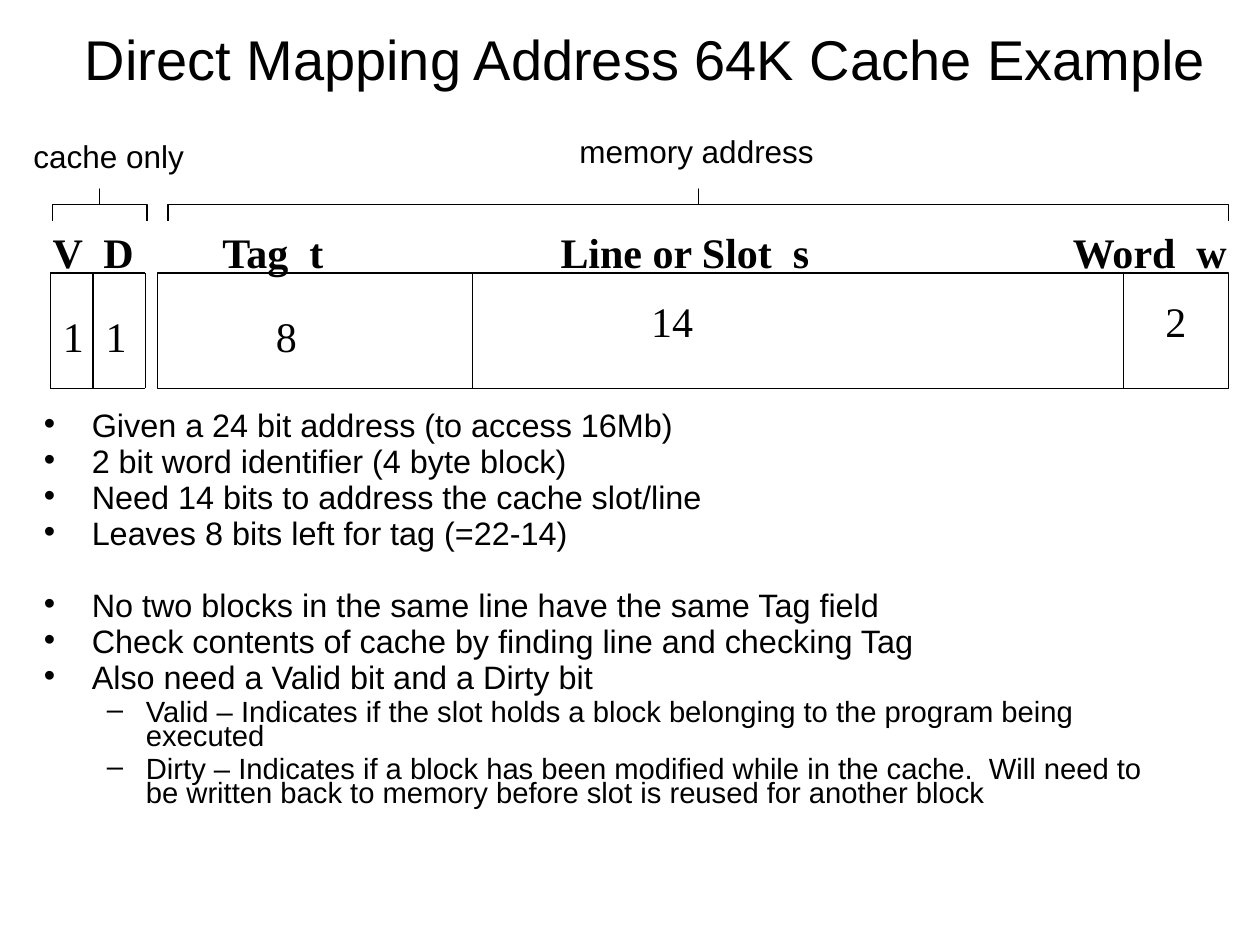
from dataclasses import dataclass
from lxml.etree import SubElement
from pptx import Presentation
from pptx.dml.color import RGBColor
from pptx.enum.shapes import MSO_CONNECTOR, MSO_SHAPE
from pptx.enum.text import MSO_ANCHOR, MSO_AUTO_SIZE, PP_ALIGN
from pptx.oxml.ns import qn
from pptx.util import Inches, Pt


@dataclass(frozen=True)
class Theme:
    ink: RGBColor = RGBColor(0, 0, 0)
    sans: str = "Arial"
    serif: str = "Times New Roman"
    title: float = 32
    field: float = 24
    note: float = 18
    point: float = 18.5
    detail: float = 16.7
    line: float = 0.75


theme = Theme()
WIDE, HIGH = 10, 7.5
COLS, ROWS = 120, 90
TOP, BASE = 26, 37

title = "Direct Mapping Address 64K Cache Example"
heads = [("V  D", 3.84, 10.2), ("Tag  t", 20, 12.36),
         ("Line or Slot  s", 52.2, 26.16), ("Word  w", 101, 17.28)]
bits = [("1", 4.8, 29, 4.32), ("1", 8.88, 29, 4.32), ("8", 25.1, 29, 4.32),
        ("14", 60.84, 27.6, 6.36), ("2", 109.8, 27.6, 4.32)]
notes = [("cache only", 2, 12.48, 17), ("memory address", 54, 12, 25)]
frame = (15, 117)
walls = [4.8, 8.85, 13.85, 45, 107]
flag = (walls[0], walls[2])
braces = [(5, 14), (16, 117)]
groups = [
    [(0, "Given a 24 bit address (to access 16Mb)"),
     (0, "2 bit word identifier (4 byte block)"),
     (0, "Need 14 bits to address the cache slot/line"),
     (0, "Leaves 8 bits left for tag (=22-14)")],
    [(0, "No two blocks in the same line have the same Tag field"),
     (0, "Check contents of cache by finding line and checking Tag"),
     (0, "Also need a Valid bit and a Dirty bit"),
     (1, "Valid – Indicates if the slot holds a block belonging to the program being executed"),
     (1, "Dirty – Indicates if a block has been modified while in the cache.  "
         "Will need to be written back to memory before slot is reused for another block")],
]
levels = [dict(size=theme.point, gap=5, left=0.38, hang=0.38, mark="•"),
          dict(size=theme.detail, gap=4.5, left=0.81, hang=0.31, mark="–")]
SPACING, BREAK = 0.7, 20.5

deck = Presentation()
deck.slide_width, deck.slide_height = Inches(WIDE), Inches(HIGH)
slide = deck.slides.add_slide(deck.slide_layouts[6])
shapes = slide.shapes


def col(n):
    return Inches(n * WIDE / COLS)


def row(n):
    return Inches(n * HIGH / ROWS)


def ink(shape):
    shape.line.color.rgb = theme.ink
    shape.line.width = Pt(theme.line)


def box(left, top, width, height, wrap=False):
    area = shapes.add_textbox(col(left), row(top), col(width), row(height)).text_frame
    area.word_wrap = wrap
    area.auto_size = MSO_AUTO_SIZE.NONE if wrap else MSO_AUTO_SIZE.SHAPE_TO_FIT_TEXT
    return area


def write(para, text, font, size, bold=False):
    run = para.add_run()
    run.text = text
    run.font.name, run.font.size, run.font.bold = font, Pt(size), bold
    run.font.color.rgb = theme.ink


def rule(left, top, right, base):
    line = shapes.add_connector(MSO_CONNECTOR.STRAIGHT, col(left), row(top), col(right), row(base))
    ink(line)
    SubElement(line._element.spPr, qn("a:effectLst"))


def plain(shape):
    shape.fill.background()
    shape.shadow.inherit = False
    ink(shape)


def brace(left, right, top=18, base=21):
    mid, bar = (left + right) / 2, (top + base) / 2
    points = [(left, base), (left, bar), (mid, bar), (mid, top),
              (mid, bar), (right, bar), (right, base)]
    spots = [(col(x), row(y)) for x, y in points]
    form = shapes.build_freeform(*spots[0])
    form.add_line_segments(spots[1:], close=False)
    plain(form.convert_to_shape())


def bullet(para, text, depth, extra):
    level = levels[depth]
    para.level = depth
    para.line_spacing = SPACING
    para.space_before = Pt(level["gap"] + extra)
    props = para._p.get_or_add_pPr()
    props.set("marL", str(Inches(level["left"])))
    props.set("indent", str(-Inches(level["hang"])))
    SubElement(props, qn("a:buFont"), typeface=theme.sans)
    SubElement(props, qn("a:buChar"), char=level["mark"])
    write(para, text, theme.sans, level["size"])


head = box(6, -2, 111, 15, wrap=True)
head.vertical_anchor = MSO_ANCHOR.MIDDLE
head.paragraphs[0].alignment = PP_ALIGN.CENTER
write(head.paragraphs[0], title, theme.sans, theme.title)

plain(shapes.add_shape(MSO_SHAPE.RECTANGLE, col(frame[0]), row(TOP),
                       col(frame[1] - frame[0]), row(BASE - TOP)))
for x in walls:
    rule(x, TOP, x, BASE)
for y in (TOP, BASE):
    rule(flag[0], y, flag[1], y)
for ends in braces:
    brace(*ends)

for text, left, width in heads:
    write(box(left, 21, width, 6).paragraphs[0], text, theme.serif, theme.field, True)
for text, left, top, width in bits:
    write(box(left, top, width, 6).paragraphs[0], text, theme.serif, theme.field)
for text, left, top, width in notes:
    write(box(left, top, width, 4.8).paragraphs[0], text, theme.sans, theme.note)

body = box(3, 39, 110, 42.5, wrap=True)
para = body.paragraphs[0]
for g, group in enumerate(groups):
    for i, (depth, text) in enumerate(group):
        if g or i:
            para = body.add_paragraph()
        bullet(para, text, depth, BREAK if g and not i else 0)

deck.save("out.pptx")
